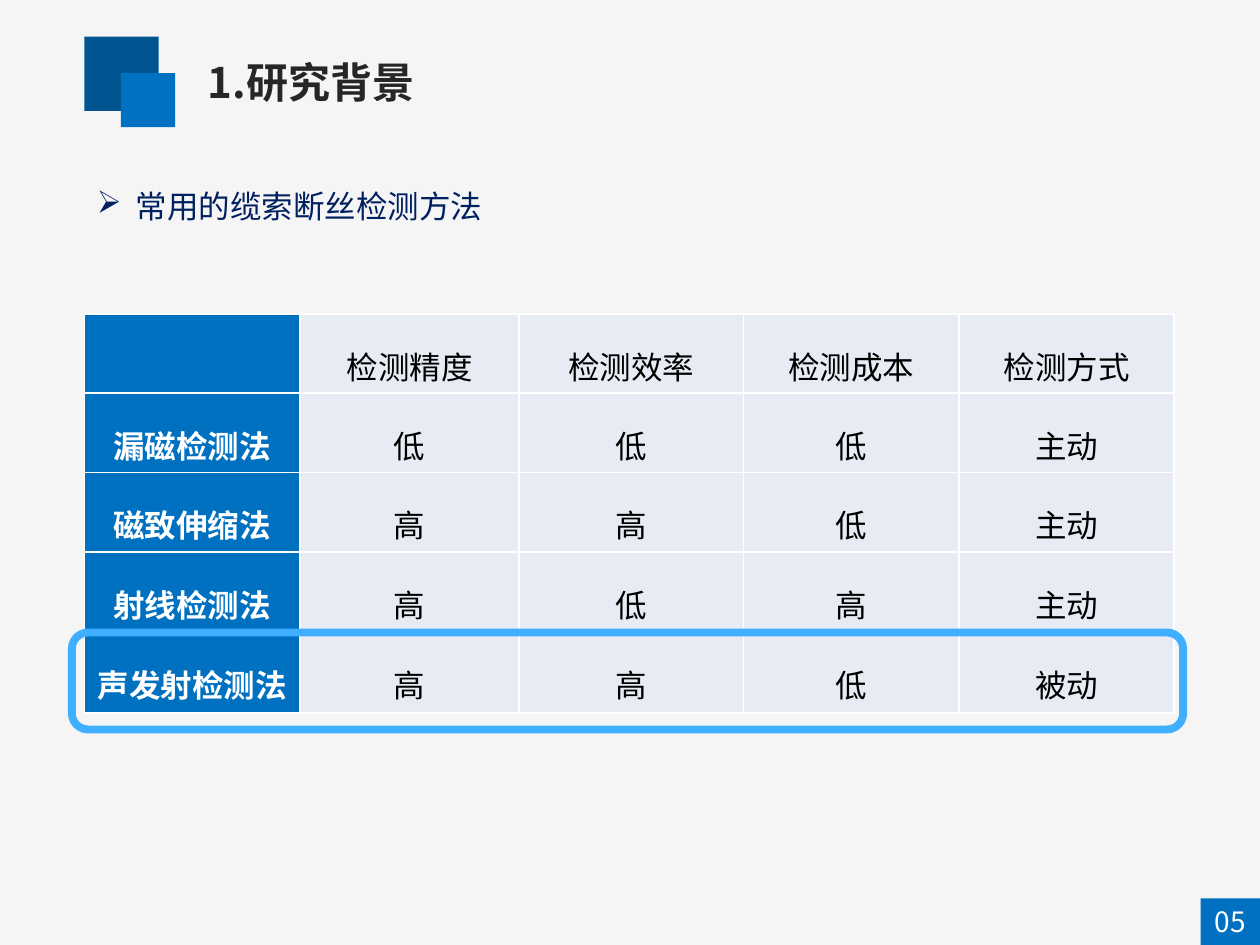
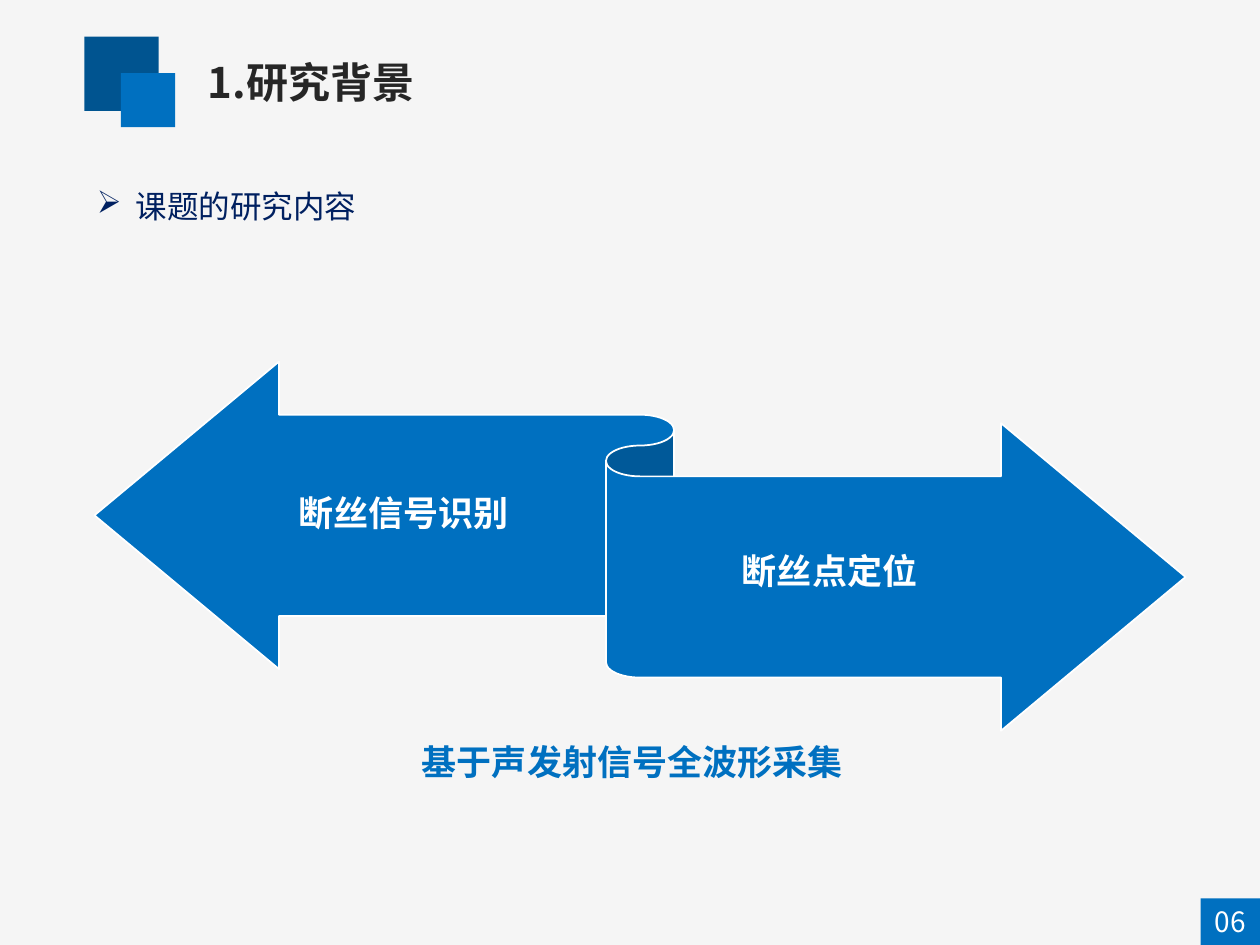
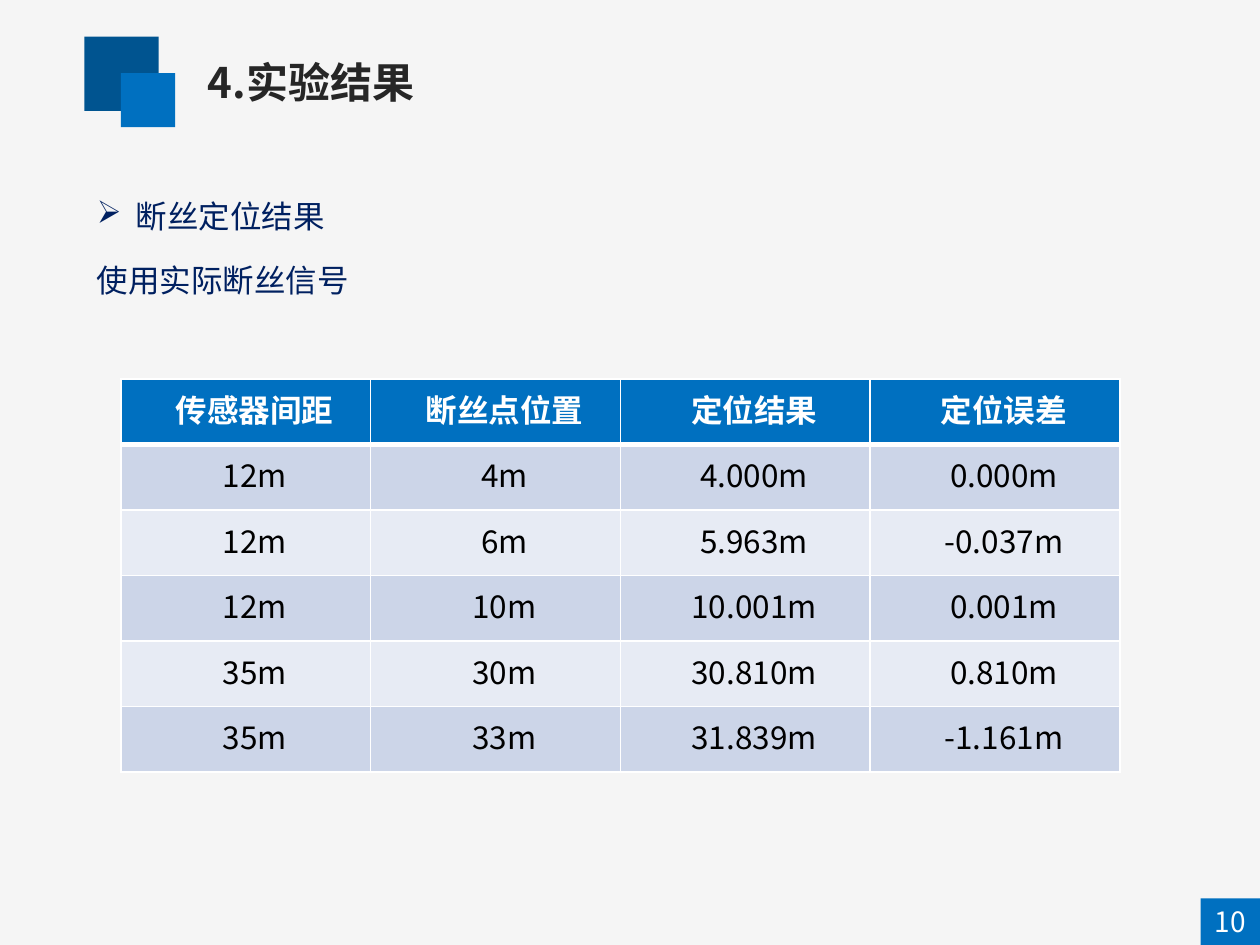
from dataclasses import dataclass

from lxml.etree import SubElement
from pptx import Presentation
from pptx.dml.color import RGBColor
from pptx.enum.shapes import MSO_SHAPE
from pptx.enum.text import MSO_ANCHOR, PP_ALIGN
from pptx.oxml.ns import qn
from pptx.util import Emu, Inches, Pt

FONT = "Noto Sans CJK SC"
BLUE, DARK, NAVY, SKY = "0070C0", "005490", "002060", "40AFFF"
WHITE, BLACK, INK, PAPER = "FFFFFF", "000000", "262626", "F5F5F5"
PALE, BAND = "E7EBF4", "CCD5E8"
WIDE, HIGH = Inches(10), Inches(7.5)
CELL = WIDE // 10
LEFT = 0.67


@dataclass(frozen=True)
class Box:
    """A place on a grid of ten columns, in square cells."""
    x: float
    y: float
    w: float
    h: float

    def emu(self) -> list[Emu]:
        """Return left, top, width and height as lengths."""
        return [Emu(round(n * CELL)) for n in (self.x, self.y, self.w, self.h)]


@dataclass(frozen=True)
class Look:
    """The format of a table's cells."""
    inset: tuple[float, float, float, float]
    space: float | Pt
    indent: float = 0
    head: bool = False


LOGO = ((Box(LEFT, 0.29, 0.59, 0.59), DARK), (Box(0.96, 0.58, 0.43, 0.43), BLUE))
TITLE = Box(1.55, 0.4, 7.78, 0.5)
PAGE = Box(9.53, 7.13, 0.47, 0.37)
POINT = Box(LEFT, 1.43, 6.32, 0.41)

METHODS = (
    ("", "检测精度", "检测效率", "检测成本", "检测方式"),
    ("漏磁检测法", "低", "低", "低", "主动"),
    ("磁致伸缩法", "高", "高", "低", "主动"),
    ("射线检测法", "高", "低", "高", "主动"),
    ("声发射检测法", "高", "高", "低", "被动"),
)
RESULTS = (
    ("传感器间距", "断丝点位置", "定位结果", "定位误差"),
    ("12m", "4m", "4.000m", "0.000m"),
    ("12m", "6m", "5.963m", "-0.037m"),
    ("12m", "10m", "10.001m", "0.001m"),
    ("35m", "30m", "30.810m", "0.810m"),
    ("35m", "33m", "31.839m", "-1.161m"),
)


def tint(code: str) -> RGBColor:
    """Turn a hex string into a colour."""
    return RGBColor.from_string(code)


def write(frame, text: str, *, size: float = 18, color: str = NAVY,
          bold: bool = False, align=PP_ALIGN.LEFT, space=None,
          margin: float = 0, indent: float = 0, mark: str = "") -> None:
    """Put one formatted paragraph in a text frame."""
    line = frame.paragraphs[0]
    line.alignment = align
    props = line._p.get_or_add_pPr()
    props.set("marL", str(Inches(margin)))
    props.set("indent", str(Inches(indent)))
    if mark:
        SubElement(props, qn("a:buChar")).set("char", mark)
    if space:
        line.line_spacing = space
    run = line.add_run()
    run.text = text
    font = run.font
    font.size, font.bold, font.name = Pt(size), bold, FONT
    font.color.rgb = tint(color)
    SubElement(run._r.get_or_add_rPr(), qn("a:ea")).set("typeface", FONT)


def label(slide, box: Box, text: str, **style) -> None:
    """Add a wrapped text box."""
    frame = slide.shapes.add_textbox(*box.emu()).text_frame
    frame.word_wrap = True
    write(frame, text, **style)


def point(slide, text: str, box: Box = POINT) -> None:
    """Add the bulleted heading of a slide."""
    label(slide, box, text, space=Pt(22), margin=0.31, indent=-0.31, mark="➢")


def draw(slide, kind, box: Box, fill: str = "", edge: str = "", width: float = 1):
    """Add a flat preset shape."""
    shape = slide.shapes.add_shape(kind, *box.emu())
    shape.shadow.inherit = False
    if fill:
        shape.fill.solid()
        shape.fill.fore_color.rgb = tint(fill)
    else:
        shape.fill.background()
    if edge:
        shape.line.color.rgb = tint(edge)
        shape.line.width = Pt(width)
    else:
        shape.line.fill.background()
    return shape


def start(deck, title: str, page: str):
    """Add a slide with its title, squares and page number."""
    slide = deck.slides.add_slide(deck.slide_layouts[5])
    for box, fill in LOGO:
        draw(slide, MSO_SHAPE.RECTANGLE, box, fill)
    head = slide.shapes.title
    head.left, head.top, head.width, head.height = TITLE.emu()
    head.text_frame.vertical_anchor = MSO_ANCHOR.TOP
    write(head.text_frame, title, size=24, color=INK, bold=True)
    frame = draw(slide, MSO_SHAPE.RECTANGLE, PAGE, BLUE).text_frame
    frame.margin_left = frame.margin_right = 0
    frame.margin_top = frame.margin_bottom = 0
    frame.vertical_anchor = MSO_ANCHOR.MIDDLE
    write(frame, page, size=16, color=WHITE, align=PP_ALIGN.CENTER)
    return slide


def border(cell, top: float, base: float) -> None:
    """Give a cell white borders of the stated widths."""
    props = cell._tc.get_or_add_tcPr()
    for side, width in (("L", 1), ("R", 1), ("T", top), ("B", base)):
        line = SubElement(props, qn(f"a:ln{side}"), w=str(Pt(width)))
        fill = SubElement(line, qn("a:solidFill"))
        SubElement(fill, qn("a:srgbClr")).set("val", WHITE)


def grid(slide, box: Box, rows, widths, heights, look: Look) -> None:
    """Add a table with its heads in the first row or first column."""
    table = slide.shapes.add_table(len(rows), len(rows[0]), *box.emu()).table
    table.first_row, table.horz_banding = look.head, look.head
    for col, width in zip(table.columns, widths):
        col.width = round(width * CELL)
    for row, height in zip(table.rows, heights):
        row.height = round(height * CELL)
    for r, row in enumerate(rows):
        for c, text in enumerate(row):
            cell = table.cell(r, c)
            lead = r == 0 if look.head else c == 0
            border(cell, 3 if look.head and r == 1 else 1,
                   3 if look.head and r == 0 else 1)
            cell.fill.solid()
            plain = BAND if look.head and r % 2 else PALE
            cell.fill.fore_color.rgb = tint(BLUE if lead else plain)
            (cell.margin_left, cell.margin_top, cell.margin_right,
             cell.margin_bottom) = map(Inches, look.inset)
            cell.vertical_anchor = MSO_ANCHOR.MIDDLE
            if text:
                write(cell.text_frame, text, color=WHITE if lead else BLACK,
                      bold=lead, align=PP_ALIGN.CENTER, space=look.space,
                      indent=look.indent)


def methods(deck) -> None:
    """Compare the ways of testing."""
    slide = start(deck, "1.研究背景", "05")
    grid(slide, Box(LEFT, 2.49, 8.66, 3.19), METHODS,
         (1.71, 1.74, 1.78, 1.71, 1.71), [0.63] * 4 + [0.65],
         Look((0.01, 0.01, 0.01, 0), 1.5))
    draw(slide, MSO_SHAPE.ROUNDED_RECTANGLE, Box(0.57, 5.02, 8.82, 0.77),
         edge=SKY, width=4.5)
    point(slide, "常用的缆索断丝检测方法")


def topics(deck) -> None:
    """Show the two topics on a ribbon."""
    slide = start(deck, "1.研究背景", "06")
    ribbon = draw(slide, MSO_SHAPE.LEFT_RIGHT_RIBBON,
                  Box(0.75, 2.87, 8.66, 2.93), BLUE, WHITE)
    for n, share in enumerate((0.545, 0.5, 0.167)):
        ribbon.adjustments[n] = share
    for x, y, text, color in ((2.27, 3.85, "断丝信号识别", WHITE),
                              (5.79, 4.31, "断丝点定位", WHITE),
                              (3.25, 5.83, "基于声发射信号全波形采集", BLUE)):
        label(slide, Box(x, y, 3.65, 0.44), text, size=20, color=color, bold=True)
    point(slide, "课题的研究内容")


def results(deck) -> None:
    """List the located breaks and their errors."""
    slide = start(deck, "4.实验结果", "10")
    point(slide, "断丝定位结果", Box(LEFT, 1.51, 6.32, 0.39))
    label(slide, Box(LEFT, 2.02, 3.7, 0.72), "使用实际断丝信号", space=Pt(22))
    grid(slide, Box(0.96, 3.01, 7.93, 3.12), RESULTS, [7.93 / 4] * 4, [0.52] * 6,
         Look((0.07, 0, 0.07, 0), Pt(22), 0.14, True))


def main() -> None:
    """Build and save the slides."""
    deck = Presentation()
    deck.slide_width, deck.slide_height = WIDE, HIGH
    back = deck.slide_master.background.fill
    back.solid()
    back.fore_color.rgb = tint(PAPER)
    for build in (methods, topics, results):
        build(deck)
    deck.save("out.pptx")


if __name__ == "__main__":
    main()
